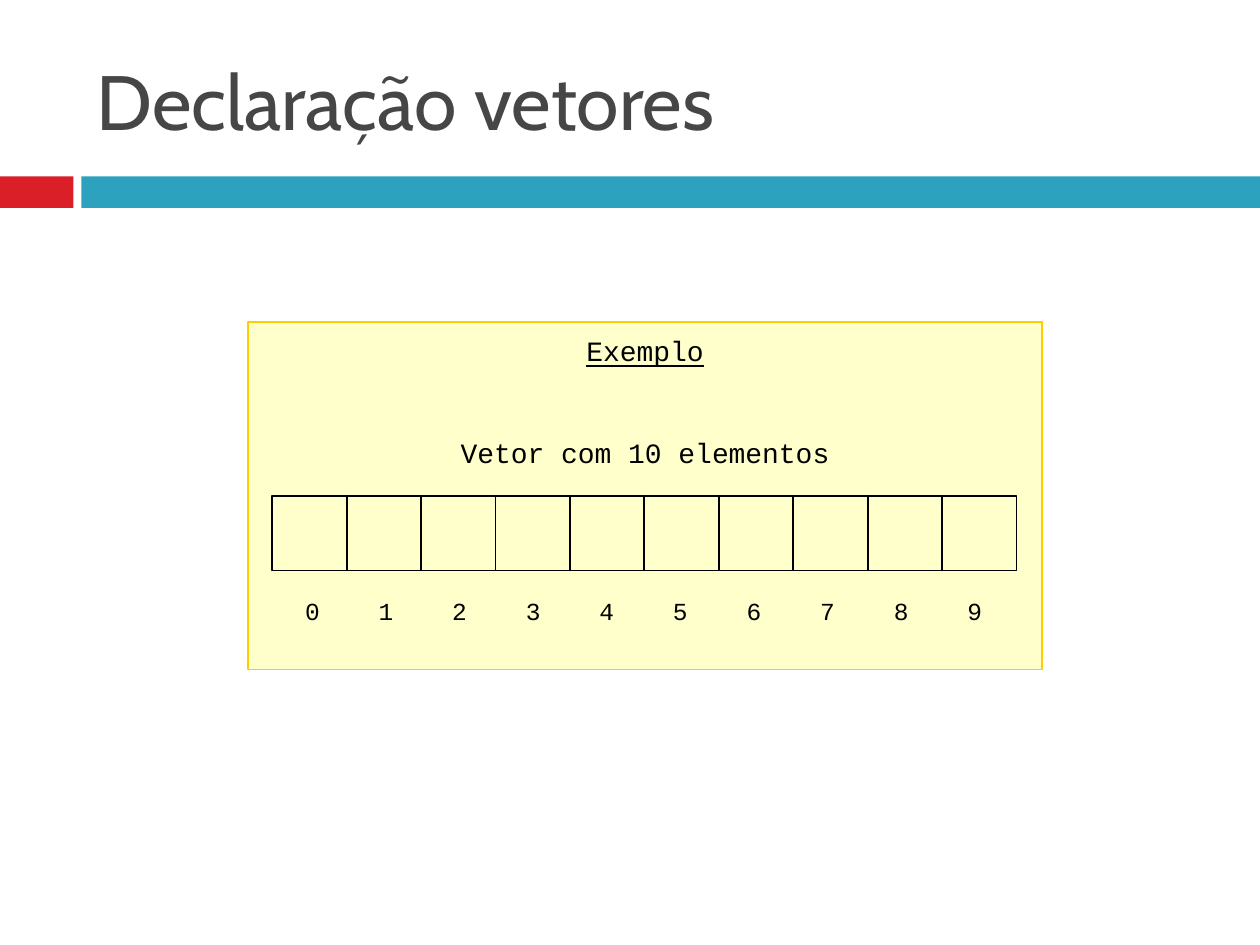
from pptx import Presentation
from pptx.dml.color import RGBColor
from pptx.enum.shapes import MSO_SHAPE
from pptx.enum.text import MSO_ANCHOR, PP_ALIGN
from pptx.util import Pt
from lxml.etree import SubElement
from pptx.oxml.ns import qn


def add_rect(shapes, box, fill=None, line=None):
    """Add a rectangle at box (left, top, width, height in points)."""
    sp = shapes.add_shape(MSO_SHAPE.RECTANGLE, *[Pt(v) for v in box])
    sp.shadow.inherit = False
    for part, color in ((sp.fill, fill), (sp.line.fill, line)):
        if color:
            part.solid()
            part.fore_color.rgb = RGBColor.from_string(color)
        else:
            part.background()
    if line:
        sp.line.width = Pt(1)
    return sp


def write(p, text, color, **font):
    """Write one formatted run into a paragraph."""
    r = p.add_run()
    r.text = text
    r.font.color.rgb = RGBColor.from_string(color)
    for name, value in font.items():
        setattr(r.font, name, value)


prs = Presentation()
prs.slide_width, prs.slide_height = Pt(720), Pt(540)
s = prs.slides.add_slide(prs.slide_layouts[6])

# Header
add_rect(s.shapes, (0, 100.8, 42, 18), "DA1F28")
add_rect(s.shapes, (46.5, 100.8, 673.5, 18), "2DA2BF")
title = s.shapes.add_textbox(Pt(48.2), Pt(18), Pt(657.4), Pt(77.8))
tf = title.text_frame
tf.word_wrap = True
tf.vertical_anchor = MSO_ANCHOR.MIDDLE
write(tf.paragraphs[0], "Declaração vetores", "464646", name="Cabin", size=Pt(44))

# Example panel: heading, caption and index row
COUNT = 10
group = s.shapes.add_group_shape()
panel = add_rect(group.shapes, (141.84, 184.2, 453.6, 198.4), "FFFFCC", "FFCC00")
tf = panel.text_frame
tf.word_wrap = True
tf.vertical_anchor = MSO_ANCHOR.TOP
tf.margin_top = Pt(6.4)
indices = "".join(f"\t{i}" for i in range(COUNT))
rows = [
    ("Exemplo", 16, 0, True, PP_ALIGN.CENTER),
    ("Vetor com 10 elementos", 16, 38.9, False, PP_ALIGN.CENTER),
    (indices, 14, 72.8, False, PP_ALIGN.LEFT),
]
for n, (text, size, gap, underline, align) in enumerate(rows):
    p = tf.paragraphs[0] if n == 0 else tf.add_paragraph()
    p.alignment = align
    p.space_before = Pt(gap)
    write(p, text, "000000", name="Courier New", size=Pt(size), underline=underline)

# Centred tab stops space the indices evenly
tabs = SubElement(p._p.get_or_add_pPr(), qn("a:tabLst"))
for i in range(COUNT):
    SubElement(tabs, qn("a:tab"), pos=str(int(Pt(29.6 + 42.05 * i))), algn="ctr")

# Vector cells
CELL = 42.53
for i in range(COUNT):
    add_rect(group.shapes, (155.6 + i * CELL, 283.5, CELL, CELL), line="000000")

prs.save("out.pptx")
